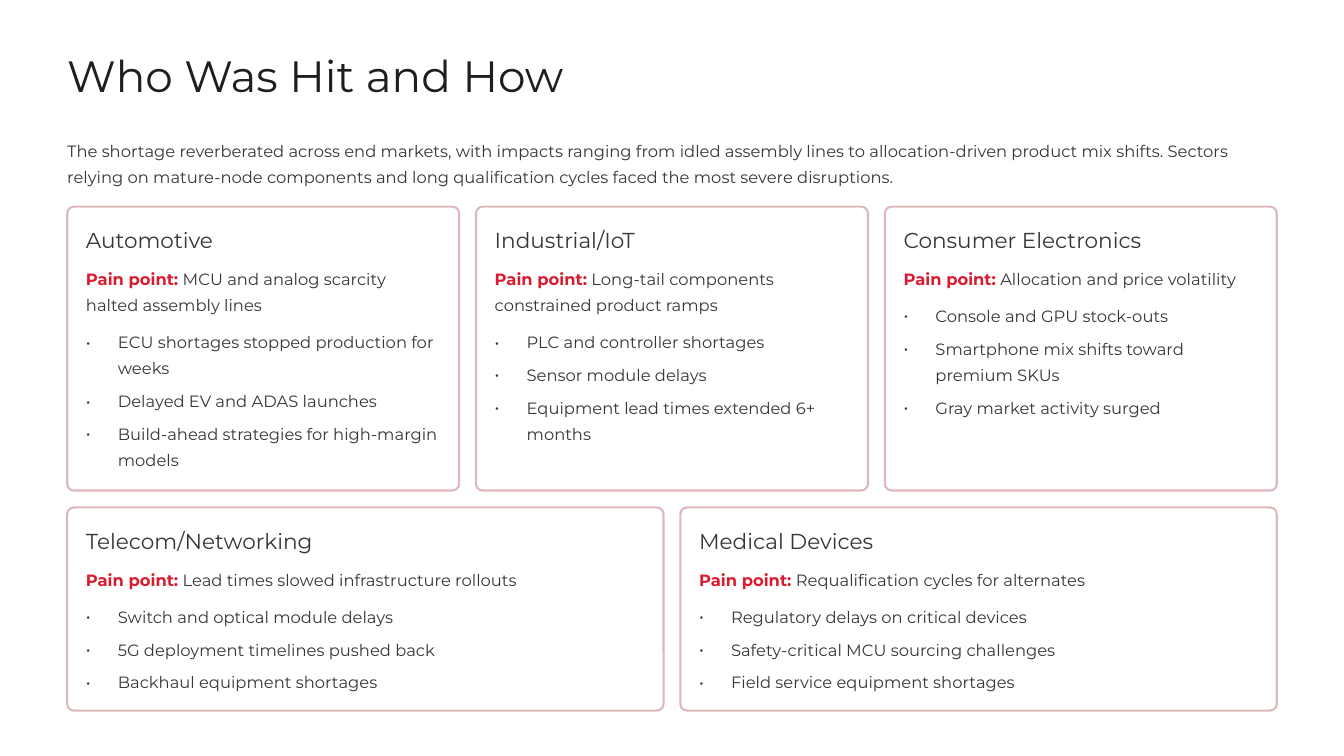
"""Build the slide on which sectors the chip shortage hit and how."""
from dataclasses import dataclass
from typing import Any

from lxml import etree
from pptx import Presentation
from pptx import util as u
from pptx.dml import color
from pptx.enum import shapes, text
from pptx.oxml import ns

WIDTH, HEIGHT = 16, 9
MARGIN = 0.05 * WIDTH
CONTENT = WIDTH - 2 * MARGIN
COLUMNS, GAP = 6, 0.2
COLUMN = (CONTENT - (COLUMNS - 1) * GAP) / COLUMNS
ROWS = [(2.46, 3.38), (6.04, 2.42)]
RADIUS = 0.08
CARD_INSET = 0.2
BULLET_INDENT = 0.38
FONT = "Montserrat"

COLORS = {
    "title": "1F1E1E",
    "body": "3B3535",
    "accent": "DA1B2E",
    "card": "FFFFFF",
    "border": "DFB8BC",
}


@dataclass(frozen=True)
class Style:
    size: float
    leading: float
    color: str = "body"
    before: float = 0
    bullet: bool = False


TITLE = Style(37.5, 47, "title")
INTRO = Style(14, 22.5)
HEADING = Style(18.5, 23.5)
PAIN = Style(14, 22.5, before=8.5)
FIRST_BULLET = Style(14, 22.5, before=9, bullet=True)
BULLET = Style(14, 22.5, before=5.6, bullet=True)


@dataclass(frozen=True)
class Card:
    row: int
    column: int
    span: int
    heading: str
    pain: str
    effects: tuple[str, ...]


CARDS = [
    Card(0, 0, 2, "Automotive", "MCU and analog scarcity halted assembly lines",
         ("ECU shortages stopped production for weeks",
          "Delayed EV and ADAS launches",
          "Build-ahead strategies for high-margin models")),
    Card(0, 2, 2, "Industrial/IoT", "Long-tail components constrained product ramps",
         ("PLC and controller shortages",
          "Sensor module delays",
          "Equipment lead times extended 6+ months")),
    Card(0, 4, 2, "Consumer Electronics", "Allocation and price volatility",
         ("Console and GPU stock-outs",
          "Smartphone mix shifts toward premium SKUs",
          "Gray market activity surged")),
    Card(1, 0, 3, "Telecom/Networking", "Lead times slowed infrastructure rollouts",
         ("Switch and optical module delays",
          "5G deployment timelines pushed back",
          "Backhaul equipment shortages")),
    Card(1, 3, 3, "Medical Devices", "Requalification cycles for alternates",
         ("Regulatory delays on critical devices",
          "Safety-critical MCU sourcing challenges",
          "Field service equipment shortages")),
]


def apply(target: Any, values: dict[str, Any]) -> None:
    for name, value in values.items():
        setattr(target, name, value)


def rgb(name: str) -> color.RGBColor:
    return color.RGBColor.from_string(COLORS[name])


def prepare_frame(frame: Any, inset: float = 0) -> None:
    sides = ("left", "top", "right", "bottom")
    apply(frame, {f"margin_{side}": u.Inches(inset) for side in sides})
    apply(frame, {
        "word_wrap": True,
        "auto_size": text.MSO_AUTO_SIZE.NONE,
        "vertical_anchor": text.MSO_ANCHOR.TOP,
    })


def add_span(para: Any, words: str, style: Style, tone: str, bold: bool = False) -> None:
    span = para.add_run()
    span.text = words
    apply(span.font, {"name": FONT, "size": u.Pt(style.size), "bold": bold})
    span.font.color.rgb = rgb(tone)


def write(para: Any, words: str, style: Style, lead: str = "") -> None:
    if style.bullet:
        properties = para._p.get_or_add_pPr()
        indent = u.Inches(BULLET_INDENT)
        properties.set("marL", str(indent))
        properties.set("indent", str(-indent))
        etree.SubElement(properties, ns.qn("a:buFont")).set("typeface", FONT)
        etree.SubElement(properties, ns.qn("a:buChar")).set("char", "•")
    apply(para, {
        "alignment": text.PP_ALIGN.LEFT,
        "line_spacing": u.Pt(style.leading),
        "space_before": u.Pt(style.before),
    })
    if lead:
        add_span(para, lead, style, "accent", bold=True)
    add_span(para, words, style, style.color)


def draw_card(page: Any, card: Card) -> None:
    top, height = ROWS[card.row]
    left = MARGIN + card.column * (COLUMN + GAP)
    width = card.span * COLUMN + (card.span - 1) * GAP
    box = page.shapes.add_shape(
        shapes.MSO_SHAPE.ROUNDED_RECTANGLE,
        *map(u.Inches, (left, top, width, height)))
    box.adjustments[0] = RADIUS / height
    box.shadow.inherit = False
    box.fill.solid()
    box.fill.fore_color.rgb = rgb("card")
    box.line.color.rgb = rgb("border")
    box.line.width = u.Pt(1.8)

    frame = box.text_frame
    prepare_frame(frame, CARD_INSET)
    write(frame.paragraphs[0], card.heading, HEADING)
    write(frame.add_paragraph(), " " + card.pain, PAIN, lead="Pain point:")
    for number, effect in enumerate(card.effects):
        write(frame.add_paragraph(), effect, BULLET if number else FIRST_BULLET)


def main() -> None:
    deck = Presentation()
    apply(deck, {"slide_width": u.Inches(WIDTH), "slide_height": u.Inches(HEIGHT)})
    page = deck.slides.add_slide(deck.slide_layouts[5])

    title = page.shapes.title
    apply(title, {
        "left": u.Inches(MARGIN), "top": u.Inches(0.55),
        "width": u.Inches(CONTENT), "height": u.Inches(0.65),
    })
    prepare_frame(title.text_frame)
    write(title.text_frame.paragraphs[0], "Who Was Hit and How", TITLE)

    intro = page.shapes.add_textbox(*map(u.Inches, (MARGIN, 1.6, CONTENT, 0.64)))
    prepare_frame(intro.text_frame)
    write(intro.text_frame.paragraphs[0],
          "The shortage reverberated across end markets, with impacts ranging from "
          "idled assembly lines to allocation-driven product mix shifts. Sectors "
          "relying on mature-node components and long qualification cycles faced "
          "the most severe disruptions.", INTRO)

    for card in CARDS:
        draw_card(page, card)
    deck.save("out.pptx")


if __name__ == "__main__":
    main()
